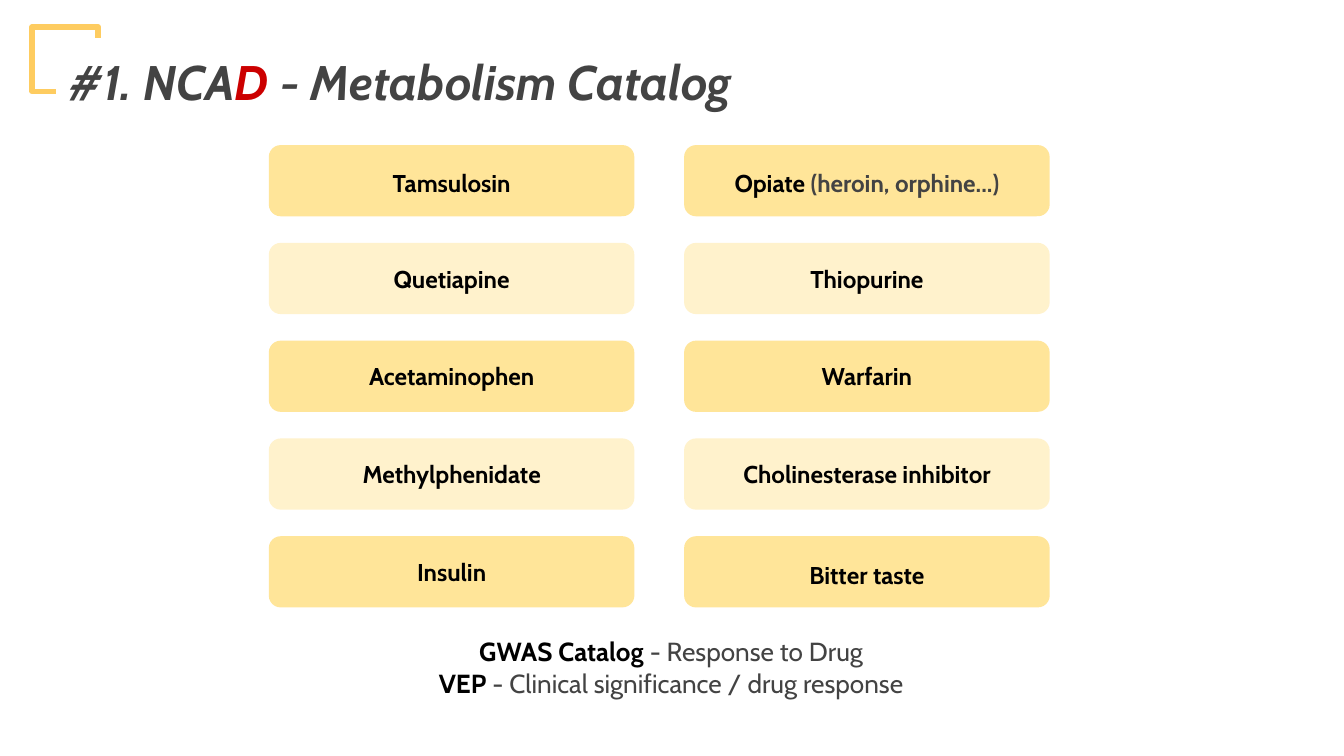
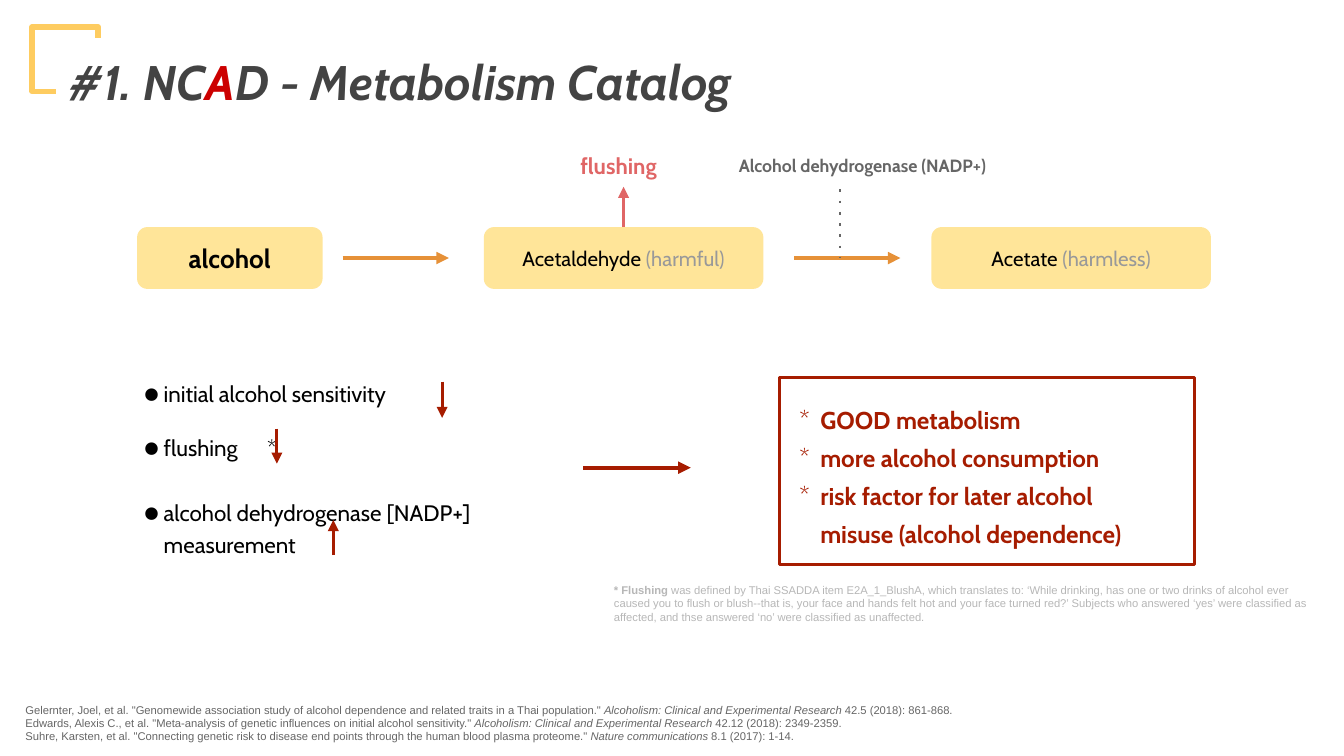
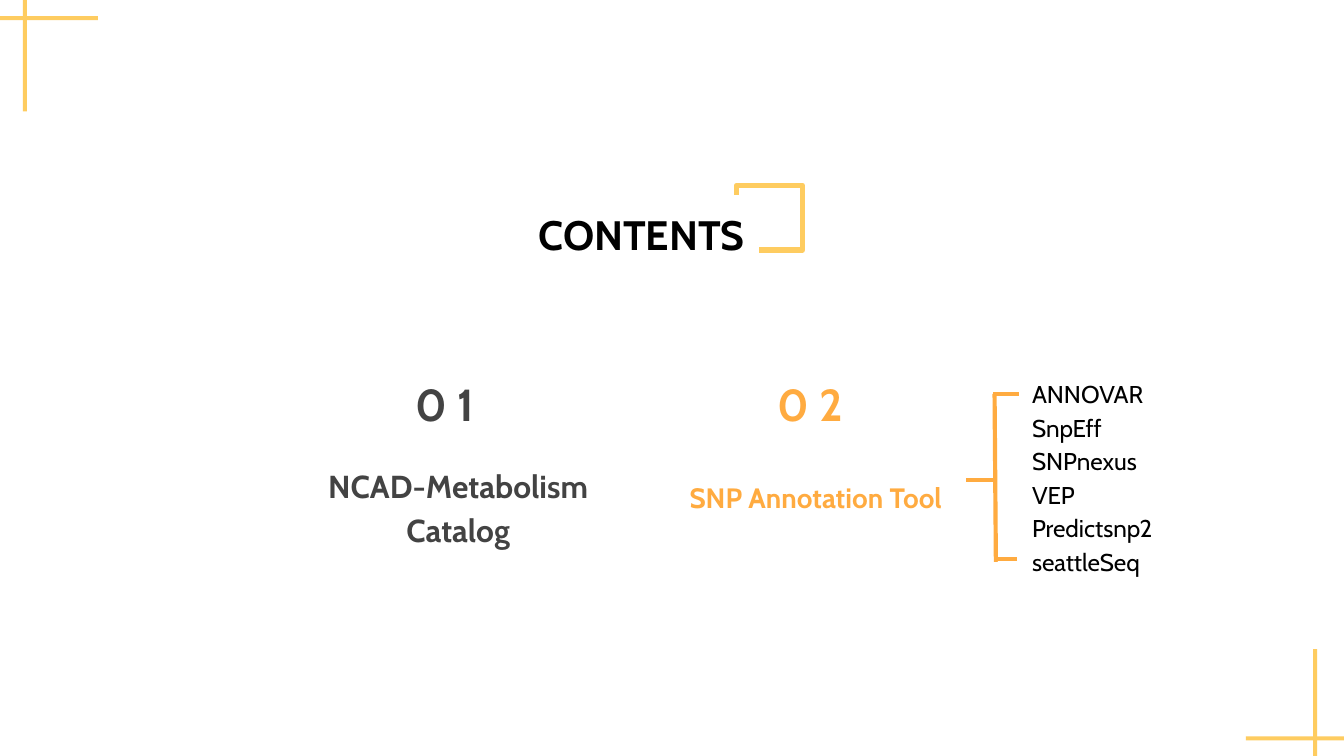
from typing import NamedTuple

from lxml.etree import SubElement
from pptx import Presentation
from pptx.dml.color import RGBColor
from pptx.enum.shapes import MSO_CONNECTOR, MSO_SHAPE
from pptx.enum.text import MSO_ANCHOR, PP_ALIGN
from pptx.oxml.ns import qn
from pptx.util import Inches, Pt

COLUMNS, ROWS = 100, 56.25
CELL = Inches(0.1)
INSET = CELL
HEADING_FONT, NOTE_FONT = "Cabin", "Arial"
COLOURS = {
    "white": "FFFFFF", "black": "000000", "ink": "434343", "grey": "666666",
    "mist": "999999", "faint": "B7B7B7", "red": "CC0000", "brick": "A61C00",
    "rose": "E06666", "gold": "FECC60", "amber": "FFAB40", "orange": "E69138",
    "butter": "FFE599", "cream": "FFF2CC",
}


class Box(NamedTuple):
    """A region measured in grid columns and rows."""
    col: float
    row: float
    cols: float
    rows: float

    def inner(self, col, row, cols, rows):
        """Return a box placed relative to this one."""
        return Box(self.col + col, self.row + row, cols, rows)

    def emu(self):
        """Return left, top, width and height in EMU."""
        return [round(length * CELL) for length in self]


WHOLE = Box(0, 0, COLUMNS, ROWS)


class Look(NamedTuple):
    """Shared settings of the paragraphs in one text frame."""
    size: float
    align: PP_ALIGN = PP_ALIGN.LEFT
    font: str = HEADING_FONT
    spacing: float = 1.0
    bullet: str = ""
    hang: float = 0
    indent: float = 0


def rgb(name):
    """Look up a palette colour."""
    return RGBColor.from_string(COLOURS[name])


def indent_paragraph(paragraph, look, tab):
    """Set margin, bullet and tab stop of a paragraph."""
    props = paragraph._p.get_or_add_pPr()
    margin = look.hang if look.bullet else look.indent
    props.set("marL", str(round(margin * CELL)))
    props.set("indent", str(-round(look.hang * CELL)))
    if look.bullet:
        SubElement(props, qn("a:buFont"), typeface=look.font)
        SubElement(props, qn("a:buChar"), char=look.bullet)
    if tab:
        stops = SubElement(props, qn("a:tabLst"))
        SubElement(stops, qn("a:tab"), pos=str(round(tab * CELL)), algn="l")


def write(holder, paragraphs, look, anchor=MSO_ANCHOR.TOP, gaps=(), spacings=(), tab=0):
    """Fill a text frame with paragraphs of (text, colour, style) runs."""
    frame = holder.text_frame
    frame.word_wrap = True
    frame.vertical_anchor = anchor
    frame.margin_left = frame.margin_right = INSET
    frame.margin_top = frame.margin_bottom = INSET
    for index, runs in enumerate(paragraphs):
        paragraph = frame.add_paragraph() if index else frame.paragraphs[0]
        indent_paragraph(paragraph, look, tab)
        paragraph.alignment = look.align
        paragraph.line_spacing = spacings[index] if spacings else look.spacing
        if gaps and index:
            paragraph.space_before = Pt(gaps[index])
        for text, colour, style in runs:
            run = paragraph.add_run()
            run.text = text
            run.font.name = look.font
            run.font.size = Pt(look.size)
            run.font.bold = "b" in style
            run.font.italic = "i" in style
            run.font.color.rgb = rgb(colour)


def add_text(slide, box, paragraphs, look, **options):
    """Add a wrapped text box."""
    write(slide.shapes.add_textbox(*box.emu()), paragraphs, look, **options)


def add_panel(slide, box, fill=None, line=None, weight=0.75, kind=MSO_SHAPE.RECTANGLE):
    """Add a flat preset shape."""
    panel = slide.shapes.add_shape(kind, *box.emu())
    panel.shadow.inherit = False
    if fill:
        panel.fill.solid()
        panel.fill.fore_color.rgb = rgb(fill)
    else:
        panel.fill.background()
    if line:
        panel.line.color.rgb = rgb(line)
        panel.line.width = Pt(weight)
    else:
        panel.line.fill.background()
    return panel


def add_card(slide, box, fill, runs, size, spacing=1.0):
    """Add a rounded card with one centred line."""
    card = add_panel(slide, box, fill, kind=MSO_SHAPE.ROUNDED_RECTANGLE)
    write(card, [runs], Look(size, PP_ALIGN.CENTER, spacing=spacing), MSO_ANCHOR.MIDDLE)


def add_stroke(slide, box, colour, weight, arrow=False, dotted=False):
    """Add a straight line from the box's start to its signed extent."""
    left, top, width, height = box.emu()
    stroke = slide.shapes.add_connector(
        MSO_CONNECTOR.STRAIGHT, left, top, left + width, top + height)
    stroke.line.color.rgb = rgb(colour)
    stroke.line.width = Pt(weight)
    outline = stroke.line._get_or_add_ln()
    if dotted:
        SubElement(outline, qn("a:prstDash"), val="dot")
    if arrow:
        SubElement(outline, qn("a:tailEnd"), type="triangle")
    SubElement(stroke._element.spPr, qn("a:effectLst"))


def add_heading(slide, frame, plate, runs, look):
    """Add a gold frame partly covered by a white title plate."""
    add_panel(slide, frame, line="gold", weight=3)
    write(add_panel(slide, plate, "white", "white"), [runs], look)


def place_title(slide, box, before, marked, after):
    """Place the catalog title with one letter marked red."""
    runs = [(before, "ink", "bi"), (marked, "red", "bi"), (after, "ink", "bi")]
    add_heading(slide, box.inner(2.4, 2, 4.9, 4.8), box.inner(4.2, 2.9, 60.6, 6.3),
                runs, Look(26))


def place_drugs(slide, box, drug_columns):
    """Lay drug cards out in columns with alternating fills."""
    card_cols, card_rows = 27.2, 5.3
    step_col = box.cols - card_cols
    for column, drugs in enumerate(drug_columns):
        step_row = (box.rows - card_rows) / (len(drugs) - 1)
        for row, (name, detail, spacing) in enumerate(drugs):
            runs = [(name, "black", "b")]
            if detail:
                runs.append((detail, "ink", "b"))
            add_card(slide, box.inner(column * step_col, row * step_row, card_cols, card_rows),
                     "cream" if row % 2 else "butter", runs, 13, spacing)


def place_pathway(slide, box):
    """Draw the alcohol pathway with its side branches."""
    middle = 8.9
    stages = [
        (0, 13.8, [("alcohol", "black", "b")], 14),
        (25.8, 20.8, [("Acetaldehyde", "black", ""), (" (harmful)", "mist", "")], 11),
        (59.1, 20.8, [("Acetate", "black", ""), (" (harmless)", "mist", "")], 11),
    ]
    for col, cols, runs, size in stages:
        add_card(slide, box.inner(col, 6.6, cols, 4.6), "butter", runs, size)
    for col in (15.3, 48.9):
        add_stroke(slide, box.inner(col, middle, 7.9, 0), "orange", 2.25, arrow=True)
    add_stroke(slide, box.inner(52.3, 3.8, 0, 5.1), "grey", 1.5, dotted=True)
    add_stroke(slide, box.inner(36.2, 6.6, 0, -3), "rose", 1.5, arrow=True)
    add_text(slide, box.inner(43.8, 0.4, 24.6, 3.3),
             [[("Alcohol dehydrogenase (NADP+)", "grey", "b")]], Look(9.5))
    add_text(slide, box.inner(32, 0, 9.6, 3.3), [[("flushing", "rose", "b")]], Look(12))


def place_traits(slide, box):
    """List the traits with arrows for their direction."""
    traits = ["initial alcohol sensitivity", "flushing\t*",
              "alcohol dehydrogenase [NADP+] measurement"]
    add_text(slide, box, [[(trait, "black", "")] for trait in traits],
             Look(12, bullet="⚫", hang=1.4),
             gaps=(0, 14.6, 17.5), spacings=(1, 1, 1.2), tab=9.1)
    for col, row, rise in ((23.1, 1.1, 2.7), (10.8, 4.6, 2.6), (15, 14, -2.6)):
        add_stroke(slide, box.inner(col, row, 0, rise), "brick", 1.5, arrow=True)


def place_outcome(slide, box):
    """Frame the outcomes and point an arrow at them."""
    outcomes = ["GOOD metabolism", "more alcohol consumption",
                "risk factor for later alcohol misuse (alcohol dependence)"]
    add_stroke(slide, box.inner(-14.6, 6.7, 8, 0), "brick", 2.25, arrow=True)
    add_panel(slide, box, line="brick", weight=1.5)
    add_text(slide, box.inner(0.5, 0.4, 27, 13), [[(line, "brick", "b")] for line in outcomes],
             Look(13, spacing=1.3, bullet="*", hang=1.55))


def place_references(slide, box, references):
    """Cite the references at the foot of the slide."""
    add_text(slide, box, [[(start, "grey", ""), (journal, "grey", "i"), (issue, "grey", "")]
                          for start, journal, issue in references], Look(6, font=NOTE_FONT))


def place_cross(slide, box, upright_col, level_row):
    """Cross two thin gold bars in a corner."""
    add_panel(slide, box.inner(upright_col, 0, 0.3, box.rows), "gold")
    add_panel(slide, box.inner(0, level_row, box.cols, 0.3), "gold")


def place_chapter(slide, box, number, number_col, lines, lines_row, colour, size, spacing):
    """Place a chapter number above its centred name."""
    add_text(slide, box.inner(number_col, 0, 14, 6), [[(number, colour, "b")]],
             Look(24, PP_ALIGN.CENTER))
    add_text(slide, box.inner(0, lines_row, box.cols, box.rows - lines_row),
             [[(line, colour, "b")] for line in lines],
             Look(size, PP_ALIGN.CENTER, spacing=spacing))


def place_tools(slide, box, tools):
    """List the tools behind an amber bracket."""
    spine, foot = 3.6, 14.9
    add_text(slide, box, [[(tool, "black", "")] for tool in tools],
             Look(13, spacing=1.15, indent=5.4))
    for col, row, cols, rows in ((1.5, 8.8, 2.1, 0), (spine - 0.1, 2.4, 1.9, 0),
                                 (spine, 14.7, 1.7, 0), (spine + 0.1, foot, -0.1, 2.4 - foot)):
        add_stroke(slide, box.inner(col, row, cols, rows), "amber", 2.25)


def build_drugs(slide):
    """Build the slide of drug responses."""
    place_title(slide, WHOLE, "#1. NCA", "D", " - Metabolism Catalog")
    place_drugs(slide, Box(20, 10.8, 58.1, 34.4), [
        [("Tamsulosin", "", 1.15), ("Quetiapine", "", 1), ("Acetaminophen", "", 1),
         ("Methylphenidate", "", 1), ("Insulin", "", 1)],
        [("Opiate ", "(heroin, orphine...)", 1.15), ("Thiopurine", "", 1), ("Warfarin", "", 1),
         ("Cholinesterase inhibitor", "", 1), ("Bitter taste", "", 1.2)],
    ])
    add_text(slide, WHOLE.inner(21.8, 46.3, 56.3, 6.6), [
        [("GWAS Catalog ", "black", "b"), ("- Response to Drug", "ink", "")],
        [("VEP ", "black", "b"), ("- Clinical significance / drug response", "ink", "")],
    ], Look(14, PP_ALIGN.CENTER))


def build_alcohol(slide):
    """Build the slide of alcohol metabolism."""
    place_title(slide, WHOLE, "#1. NC", "A", "D - Metabolism Catalog")
    place_pathway(slide, Box(10.2, 10.3, 79.9, 11.2))
    place_traits(slide, Box(9.8, 27.3, 30, 16))
    place_outcome(slide, Box(58, 28.1, 30.9, 13.9))
    add_text(slide, WHOLE.inner(44.7, 42.4, 54.3, 7.2), [[
        ("* Flushing", "faint", "b"),
        (" was defined by Thai SSADDA item E2A_1_BlushA, which translates to: ‘While drinking, "
         "has one or two drinks of alcohol ever caused you to flush or blush--that is, your face "
         "and hands felt hot and your face turned red?’ Subjects who answered ‘yes’ were "
         "classified as affected, and thse answered ‘no’ were classified as unaffected.",
         "faint", ""),
    ]], Look(6, font=NOTE_FONT))
    alcoholism = "Alcoholism: Clinical and Experimental Research"
    place_references(slide, Box(0.9, 51.3, 87.1, 4.6), [
        ('Gelernter, Joel, et al. "Genomewide association study of alcohol dependence and '
         'related traits in a Thai population." ', alcoholism, " 42.5 (2018): 861-868."),
        ('Edwards, Alexis C., et al. "Meta‐analysis of genetic influences on initial alcohol '
         'sensitivity." ', alcoholism, " 42.12 (2018): 2349-2359."),
        ('Suhre, Karsten, et al. "Connecting genetic risk to disease end points through the '
         'human blood plasma proteome." ', "Nature communications", " 8.1 (2017): 1-14."),
    ])


def build_contents(slide):
    """Build the contents slide."""
    add_heading(slide, WHOLE.inner(54.8, 13.8, 4.9, 4.8), WHOLE.inner(35, 14.6, 21.4, 5.6),
                [("CONTENTS", "black", "b")], Look(22, PP_ALIGN.RIGHT))
    place_chapter(slide, Box(22.1, 27, 24, 16), "0 1", 4, ["NCAD-Metabolism", "Catalog"],
                  6.3, "ink", 17, 1.15)
    place_chapter(slide, Box(47.9, 27, 25.6, 12), "0 2", 5.4, ["SNP Annotation Tool"],
                  6.5, "amber", 15, 1.5)
    place_tools(slide, Box(70.4, 26.9, 18.5, 17),
                ["ANNOVAR", "SnpEff", "SNPnexus", "VEP", "Predictsnp2", "seattleSeq"])
    place_cross(slide, Box(0, 0, 7.3, 8.3), 1.7, 1.2)
    place_cross(slide, Box(92.7, 48.3, 7.3, 7.95), 5, 6.5)


def main():
    """Build and save the presentation."""
    deck = Presentation()
    deck.slide_width, deck.slide_height = round(COLUMNS * CELL), round(ROWS * CELL)
    for build in (build_drugs, build_alcohol, build_contents):
        build(deck.slides.add_slide(deck.slide_layouts[6]))
    deck.save("out.pptx")


if __name__ == "__main__":
    main()
